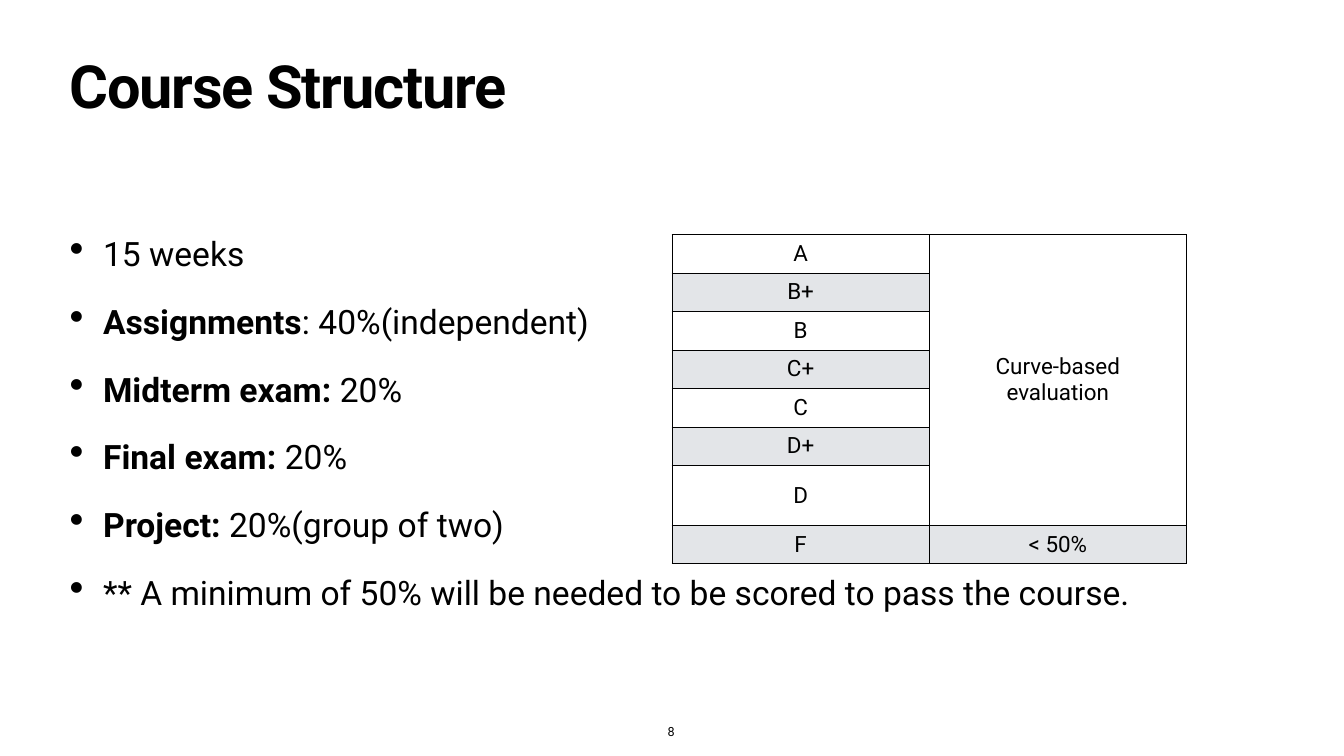
"""Build the Course Structure slide with its weighting list and grade table."""
import dataclasses
import typing

import lxml.etree
import pptx
import pptx.dml.color
import pptx.enum.text
import pptx.oxml.ns
import pptx.util

Pt = pptx.util.Pt
RGB = pptx.dml.color.RGBColor
ALIGN = pptx.enum.text.PP_ALIGN
ANCHOR = pptx.enum.text.MSO_ANCHOR


@dataclasses.dataclass(frozen=True)
class Theme:
    font: str = "Roboto"
    ink: str = "000000"
    paper: str = "FFFFFF"
    band: str = "E3E5E8"
    title: float = 85
    body: float = 48
    cell: float = 32
    number: float = 18
    inset: float = 4.32
    indent: float = 48


@dataclasses.dataclass(frozen=True)
class Box:
    left: float
    top: float
    width: float
    height: float

    def lengths(self) -> list[pptx.util.Length]:
        return [Pt(v) for v in dataclasses.astuple(self)]


class Item(typing.NamedTuple):
    label: str
    detail: str


THEME = Theme()
TITLE = Box(95, 85, 1730, 113)
BODY = Box(95, 335, 1730, 650)
NUMBER = Box(949.5, 1030, 19, 30)
TABLE = Box(960, 335, 735, 440)
ITEMS = [
    Item("", "15 weeks"),
    Item("Assignments", ": 40%(independent)"),
    Item("Midterm exam: ", "20%"),
    Item("Final exam: ", "20%"),
    Item("Project:", " 20%(group of two)"),
    Item("", "** A minimum of 50% will be needed to be scored to pass the course."),
]
GRADES = ["A", "B+", "B", "C+", "C", "D+", "D", "F"]


def add_child(parent, tag: str, **attrs):
    child = lxml.etree.SubElement(parent, pptx.oxml.ns.qn(tag))
    for name, value in attrs.items():
        child.set(name, str(value))
    return child


def add_text(p, text: str, *, size: float, bold: bool = False, tracking: float = 0) -> None:
    r = p.add_run()
    r.text = text
    r.font.name = THEME.font
    r.font.size = Pt(size)
    r.font.bold = bold
    r.font.color.rgb = RGB.from_string(THEME.ink)
    if tracking:
        r._r.get_or_add_rPr().set("spc", str(round(tracking * 100)))


def add_box(s, box: Box, anchor=ANCHOR.TOP, wrap: bool = True):
    tf = s.shapes.add_textbox(*box.lengths()).text_frame
    tf.word_wrap = wrap
    tf.vertical_anchor = anchor
    tf.margin_left = tf.margin_right = tf.margin_top = tf.margin_bottom = Pt(THEME.inset)
    return tf


def add_list(s, box: Box, items: list[Item]) -> None:
    tf = add_box(s, box)
    for i, item in enumerate(items):
        p = tf.add_paragraph() if i else tf.paragraphs[0]
        p.line_spacing = 0.9
        p.space_before = Pt(45 if i else 0)
        pPr = p._p.get_or_add_pPr()
        pPr.set("marL", str(Pt(THEME.indent)))
        pPr.set("indent", str(-Pt(THEME.indent)))
        add_child(pPr, "a:buSzPct", val=123000)
        add_child(pPr, "a:buChar", char="•")
        if item.label:
            add_text(p, item.label, size=THEME.body, bold=True)
        add_text(p, item.detail, size=THEME.body)


def style_cell(cell, fill: str) -> None:
    cell.margin_left = cell.margin_right = Pt(THEME.inset)
    cell.margin_top = cell.margin_bottom = Pt(THEME.inset)
    cell.vertical_anchor = ANCHOR.MIDDLE
    tcPr = cell._tc.get_or_add_tcPr()
    for side in "LRTB":
        line = add_child(tcPr, f"a:ln{side}", w=Pt(1))
        add_child(add_child(line, "a:solidFill"), "a:srgbClr", val=THEME.ink)
    cell.fill.solid()
    cell.fill.fore_color.rgb = RGB.from_string(fill)


def fill_cell(cell, *lines: str) -> None:
    tf = cell.text_frame
    for i, line in enumerate(lines):
        p = tf.add_paragraph() if i else tf.paragraphs[0]
        p.alignment = ALIGN.CENTER
        add_text(p, line, size=THEME.cell)


def add_grades(s, box: Box, grades: list[str]) -> None:
    last = len(grades) - 1
    table = s.shapes.add_table(len(grades), 2, *box.lengths()).table
    table.first_row = table.horz_banding = False
    for i, grade in enumerate(grades):
        table.rows[i].height = Pt(box.height / len(grades))
        fill = THEME.band if i % 2 else THEME.paper
        style_cell(table.cell(i, 0), fill)
        style_cell(table.cell(i, 1), fill if i == last else THEME.paper)
        fill_cell(table.cell(i, 0), grade)
    table.cell(0, 1).merge(table.cell(last - 1, 1))
    fill_cell(table.cell(0, 1), "Curve-based", "evaluation")
    fill_cell(table.cell(last, 1), "< 50%")


def main() -> None:
    prs = pptx.Presentation()
    prs.slide_width, prs.slide_height = Pt(1920), Pt(1080)
    s = prs.slides.add_slide(prs.slide_layouts[6])
    s.background.fill.solid()
    s.background.fill.fore_color.rgb = RGB.from_string(THEME.paper)

    p = add_box(s, TITLE).paragraphs[0]
    p.line_spacing = 0.8
    add_text(p, "Course Structure", size=THEME.title, bold=True, tracking=-1.7)

    add_list(s, BODY, ITEMS)

    p = add_box(s, NUMBER, ANCHOR.BOTTOM, wrap=False).paragraphs[0]
    p.alignment = ALIGN.CENTER
    add_text(p, "8", size=THEME.number)

    add_grades(s, TABLE, GRADES)
    prs.save("out.pptx")


if __name__ == "__main__":
    main()
